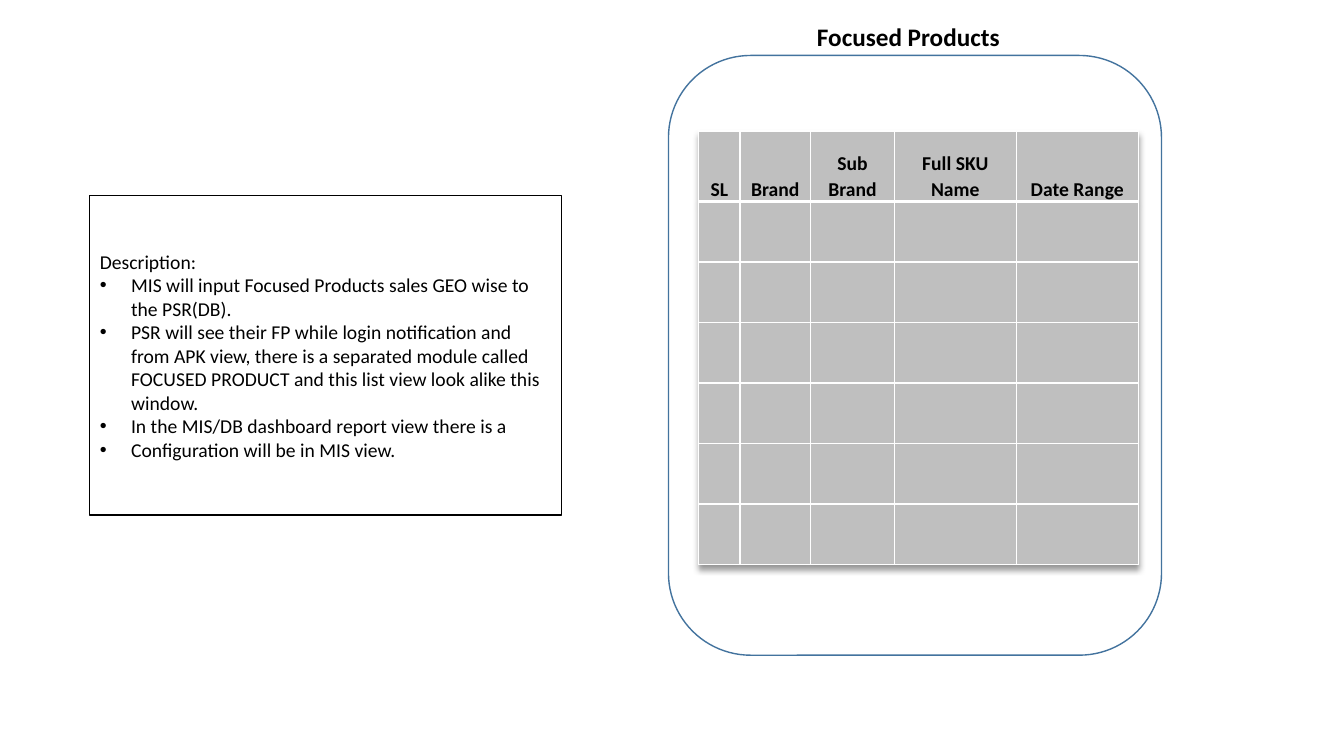
from lxml import etree
from pptx import Presentation
from pptx.dml.color import RGBColor
from pptx.enum.shapes import MSO_SHAPE
from pptx.enum.text import MSO_ANCHOR, MSO_AUTO_SIZE, PP_ALIGN
from pptx.oxml import parse_xml
from pptx.oxml.ns import qn
from pptx.util import Inches, Pt

TITLE = "Focused Products"
HEADERS = ["SL", "Brand", "Sub Brand", "Full SKU Name", "Date Range"]
COL_WIDTHS = [0.41, 0.7, 0.83, 1.21, 1.21]
ROW_HEIGHTS = [0.7] + [0.6] * 6
LEAD = "Description:"
POINTS = [
    "MIS will input Focused Products sales GEO wise to the PSR(DB).",
    "PSR will see their FP while login notification and from APK view, there is a "
    "separated module called FOCUSED PRODUCT and this list view look alike this window.",
    "In the MIS/DB dashboard report view there is a",
    "Configuration will be in MIS view.",
]
COLORS = {"text": "000000", "paper": "FFFFFF", "cell": "BFBFBF", "frame": "43739E"}
FONT = "Calibri"
TABLE_SHADOW = (
    '<a:effectLst xmlns:a="http://schemas.openxmlformats.org/drawingml/2006/main">'
    '<a:outerShdw blurRad="50800" dist="38100" dir="5400000" algn="t" rotWithShape="0">'
    '<a:srgbClr val="000000"><a:alpha val="40000"/></a:srgbClr>'
    '</a:outerShdw></a:effectLst>'
)


def rgb(name):
    return RGBColor.from_string(COLORS[name])


def place(s, left, top, width, height):
    s.left, s.top = Inches(left), Inches(top)
    s.width, s.height = Inches(width), Inches(height)


def style(p, size, bold=False):
    for r in p.runs:
        r.font.name, r.font.size, r.font.bold = FONT, Pt(size), bold
        r.font.color.rgb = rgb("text")


def outline(s, color):
    s.line.color.rgb = rgb(color)
    s.line.width = Pt(1)


def set_borders(cell, top, bottom):
    tc_pr = cell._tc.get_or_add_tcPr()
    widths = {"lnL": 1, "lnR": 1, "lnT": top, "lnB": bottom}
    for i, (tag, width) in enumerate(widths.items()):
        ln = etree.Element(qn("a:" + tag), w=str(Pt(width)))
        fill = etree.SubElement(ln, qn("a:solidFill"))
        etree.SubElement(fill, qn("a:srgbClr"), val=COLORS["paper"])
        tc_pr.insert(i, ln)


def set_bullet(p, indent):
    p_pr = p._p.get_or_add_pPr()
    p_pr.set("marL", str(Inches(indent)))
    p_pr.set("indent", str(-Inches(indent)))
    if indent:
        etree.SubElement(p_pr, qn("a:buFont"), typeface="Arial")
        etree.SubElement(p_pr, qn("a:buChar"), char="•")
    else:
        etree.SubElement(p_pr, qn("a:buNone"))


def add_title(slide):
    s = slide.shapes.title
    place(s, 7.88, 0.02, 2.26, 0.69)
    tf = s.text_frame
    tf.text = TITLE
    tf.auto_size = MSO_AUTO_SIZE.NONE
    tf.vertical_anchor = MSO_ANCHOR.MIDDLE
    tf.paragraphs[0].alignment = PP_ALIGN.CENTER
    style(tf.paragraphs[0], 18, True)


def add_description(slide):
    s = slide.placeholders[1]
    place(s, 0.89, 1.94, 4.68, 3.17)
    s.fill.solid()
    s.fill.fore_color.rgb = rgb("paper")
    outline(s, "text")
    tf = s.text_frame
    tf.text = "\n".join([LEAD] + POINTS)
    tf.auto_size = MSO_AUTO_SIZE.NONE
    tf.vertical_anchor = MSO_ANCHOR.MIDDLE
    for i, p in enumerate(tf.paragraphs):
        p.space_before = Pt(0)
        set_bullet(p, 0.31 if i else 0)
        style(p, 14)


def add_frame(slide):
    s = slide.shapes.add_shape(MSO_SHAPE.ROUNDED_RECTANGLE, Inches(6.63), Inches(0.55),
                               Inches(4.89), Inches(5.95))
    s.shadow.inherit = False
    s.fill.background()
    outline(s, "frame")


def add_product_table(slide):
    table = slide.shapes.add_table(
        len(ROW_HEIGHTS), len(HEADERS), Inches(6.93), Inches(1.3),
        Inches(sum(COL_WIDTHS)), Inches(sum(ROW_HEIGHTS))).table
    table._tbl.tblPr.insert(0, parse_xml(TABLE_SHADOW))
    for col, width in zip(table.columns, COL_WIDTHS):
        col.width = Inches(width)
    for i, (row, height) in enumerate(zip(table.rows, ROW_HEIGHTS)):
        row.height = Inches(height)
        for cell in row.cells:
            cell.fill.solid()
            cell.fill.fore_color.rgb = rgb("cell")
            set_borders(cell, 3 if i == 1 else 1, 3 if i == 0 else 1)
    for cell, text in zip(table.rows[0].cells, HEADERS):
        cell.text = text
        cell.vertical_anchor = MSO_ANCHOR.BOTTOM
        cell.margin_left = cell.margin_right = Inches(0.07)
        cell.margin_top = cell.margin_bottom = 0
        p = cell.text_frame.paragraphs[0]
        p.alignment = PP_ALIGN.CENTER
        p.line_spacing = 1.07
        style(p, 14, True)


def main():
    prs = Presentation()
    prs.slide_width, prs.slide_height = Inches(13.33), Inches(7.5)
    slide = prs.slides.add_slide(prs.slide_layouts[1])
    add_title(slide)
    add_description(slide)
    add_frame(slide)
    add_product_table(slide)
    prs.save("out.pptx")


if __name__ == "__main__":
    main()
